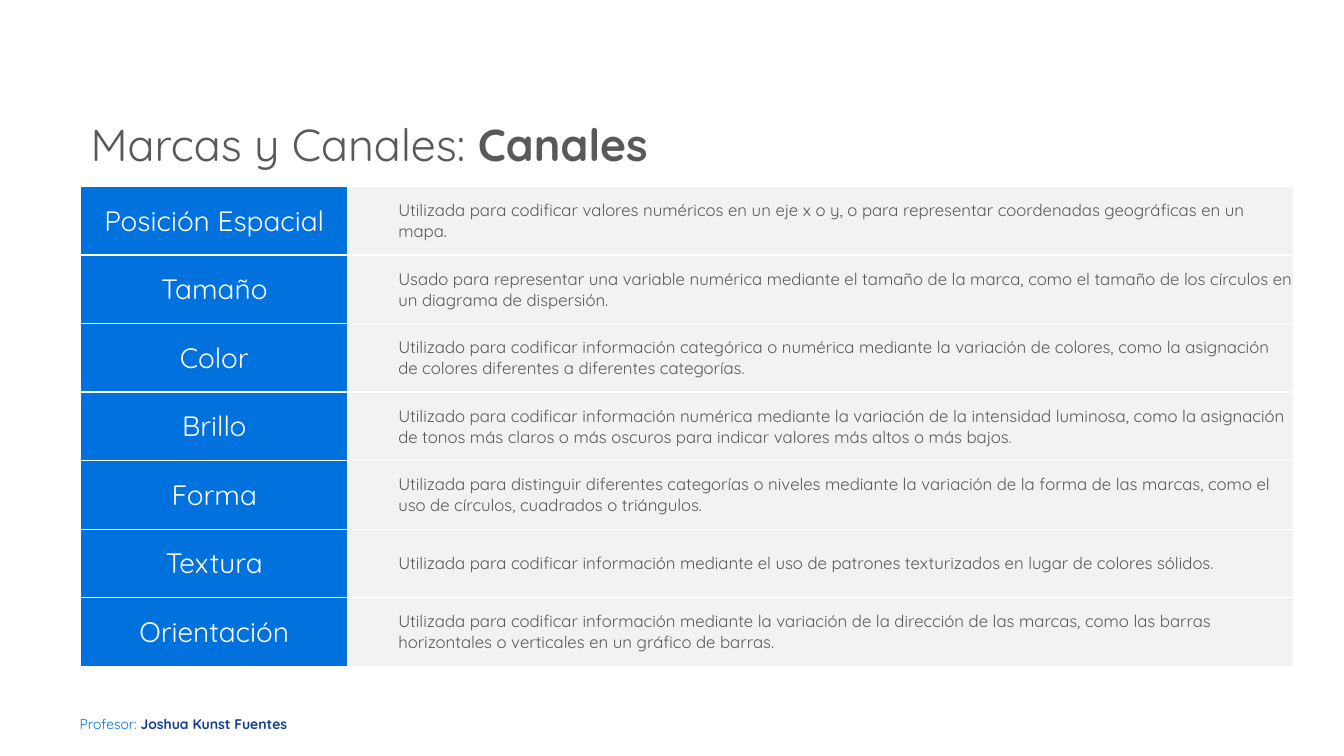
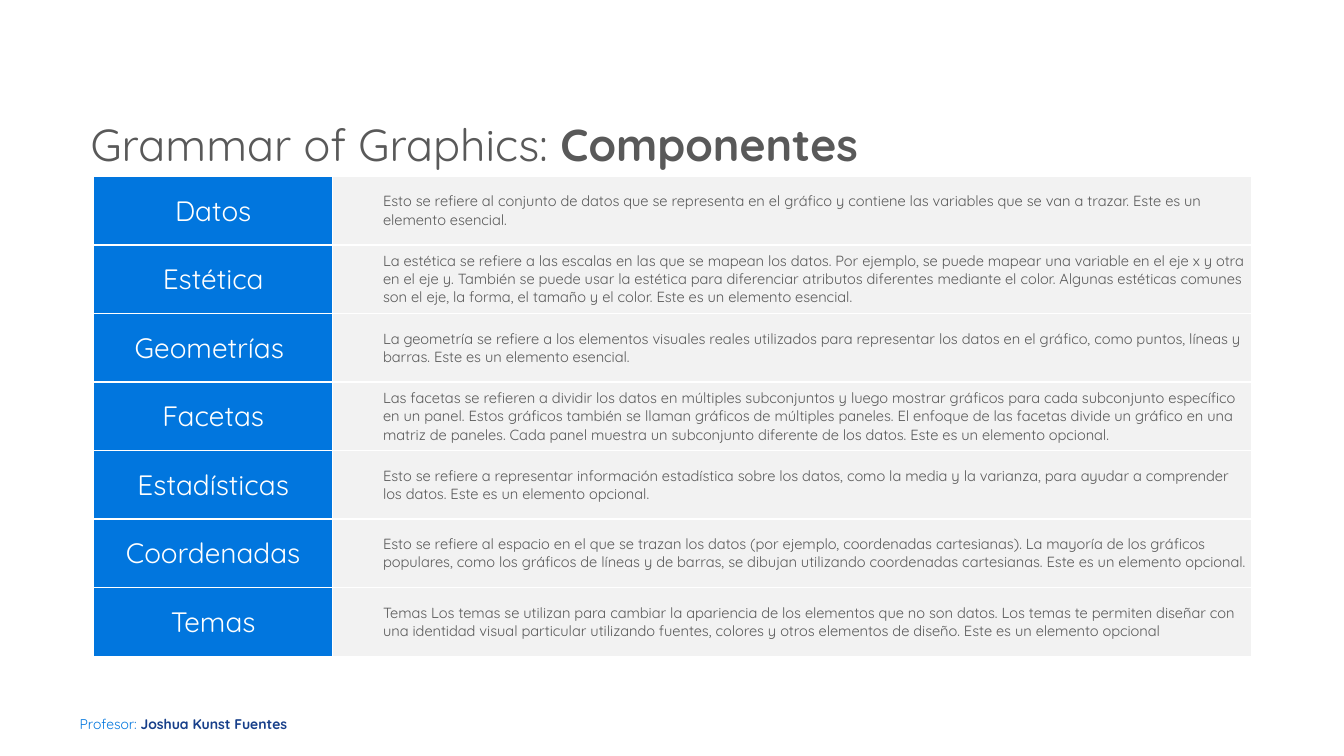
from dataclasses import dataclass

import lxml.etree
import pptx
import pptx.dml.color
import pptx.enum.text
import pptx.oxml.ns
import pptx.slide
import pptx.table
import pptx.util

Inches = pptx.util.Inches
Pt = pptx.util.Pt
qn = pptx.oxml.ns.qn

FONT = "Quicksand"
COLORS = {
    "white": "FFFFFF",
    "text": "595959",
    "panel": "F2F2F2",
    "channel": "0071DD",
    "blue": "0176DE",
    "navy": "173F8A",
}
ROW_HEIGHT = 0.68
MIDDLE = pptx.enum.text.MSO_ANCHOR.MIDDLE
NO_MARGINS = {
    "margin_left": 0,
    "margin_top": 0,
    "margin_right": 0,
    "margin_bottom": 0,
}
CELL_FORMAT = {**NO_MARGINS, "vertical_anchor": MIDDLE}
BOX_FORMAT = {
    "word_wrap": True,
    "auto_size": pptx.enum.text.MSO_AUTO_SIZE.SHAPE_TO_FIT_TEXT,
}
TITLE_FORMAT = {**BOX_FORMAT, "vertical_anchor": MIDDLE}
FOOTER_FORMAT = {**BOX_FORMAT, **NO_MARGINS}


@dataclass(frozen=True)
class Run:
    text: str
    size: float
    color: str
    bold: bool = False


@dataclass(frozen=True)
class Row:
    term: str
    description: str


@dataclass(frozen=True)
class TableSlide:
    topic: str
    emphasis: str
    title_width: float
    left: float
    top: float
    columns: tuple[float, float]
    term_fill: str
    body_size: float
    rows: tuple[Row, ...]


SLIDES = (
    TableSlide(
        "Marcas y Canales: ", "Canales", 7.54, 0.8, 1.85, (2.65, 9.38), "channel", 12,
        (
            Row("Posición Espacial",
                "Utilizada para codificar valores numéricos en un eje x o y, o para "
                "representar coordenadas geográficas en un mapa."),
            Row("Tamaño",
                "Usado para representar una variable numérica mediante el tamaño de la "
                "marca, como el tamaño de los círculos en un diagrama de dispersión."),
            Row("Color",
                "Utilizado para codificar información categórica o numérica mediante la "
                "variación de colores, como la asignación de colores diferentes a "
                "diferentes categorías."),
            Row("Brillo",
                "Utilizado para codificar información numérica mediante la variación de la "
                "intensidad luminosa, como la asignación de tonos más claros o más oscuros "
                "para indicar valores más altos o más bajos."),
            Row("Forma",
                "Utilizada para distinguir diferentes categorías o niveles mediante la "
                "variación de la forma de las marcas, como el uso de círculos, cuadrados o "
                "triángulos."),
            Row("Textura",
                "Utilizada para codificar información mediante el uso de patrones "
                "texturizados en lugar de colores sólidos."),
            Row("Orientación",
                "Utilizada para codificar información mediante la variación de la dirección "
                "de las marcas, como las barras horizontales o verticales en un gráfico de "
                "barras."),
        ),
    ),
    TableSlide(
        "Grammar of Graphics: ", "Componentes", 10.47, 0.93, 1.75, (2.37, 9.11), "blue", 10.5,
        (
            Row("Datos",
                "Esto se refiere al conjunto de datos que se representa en el gráfico y "
                "contiene las variables que se van a trazar. Este es un elemento esencial."),
            Row("Estética",
                "La estética se refiere a las escalas en las que se mapean los datos. Por "
                "ejemplo, se puede mapear una variable en el eje x y otra en el eje y. "
                "También se puede usar la estética para diferenciar atributos diferentes "
                "mediante el color. Algunas estéticas comunes son el eje, la forma, el "
                "tamaño y el color. Este es un elemento esencial."),
            Row("Geometrías ",
                "La geometría se refiere a los elementos visuales reales utilizados para "
                "representar los datos en el gráfico, como puntos, líneas y barras. Este es "
                "un elemento esencial."),
            Row("Facetas",
                "Las facetas se refieren a dividir los datos en múltiples subconjuntos y "
                "luego mostrar gráficos para cada subconjunto específico en un panel. Estos "
                "gráficos también se llaman gráficos de múltiples paneles. El enfoque de las "
                "facetas divide un gráfico en una matriz de paneles. Cada panel muestra un "
                "subconjunto diferente de los datos. Este es un elemento opcional."),
            Row("Estadísticas",
                "Esto se refiere a representar información estadística sobre los datos, como "
                "la media y la varianza, para ayudar a comprender los datos. Este es un "
                "elemento opcional."),
            Row("Coordenadas",
                "Esto se refiere al espacio en el que se trazan los datos (por ejemplo, "
                "coordenadas cartesianas). La mayoría de los gráficos populares, como los "
                "gráficos de líneas y de barras, se dibujan utilizando coordenadas "
                "cartesianas. Este es un elemento opcional."),
            Row("Temas",
                "Temas Los temas se utilizan para cambiar la apariencia de los elementos que "
                "no son datos. Los temas te permiten diseñar con una identidad visual "
                "particular utilizando fuentes, colores y otros elementos de diseño. Este es "
                "un elemento opcional"),
        ),
    ),
)


def rgb(color: str) -> pptx.dml.color.RGBColor:
    return pptx.dml.color.RGBColor.from_string(COLORS[color])


def apply_format(target: object, values: dict[str, object]) -> None:
    for name, value in values.items():
        setattr(target, name, value)


def add_run(p, run: Run) -> None:
    r = p.add_run()
    r.text = run.text
    apply_format(r.font, {"name": FONT, "size": Pt(run.size), "bold": run.bold})
    r.font.color.rgb = rgb(run.color)


def add_text(s: pptx.slide.Slide, box: tuple[float, float, float, float],
             runs: tuple[Run, ...], values: dict[str, object], line_spacing: float) -> None:
    tf = s.shapes.add_textbox(*(Inches(v) for v in box)).text_frame
    apply_format(tf, values)
    p = tf.paragraphs[0]
    p.line_spacing = line_spacing
    for run in runs:
        add_run(p, run)


def add_borders(cell: pptx.table._Cell) -> None:
    tc_pr = cell._tc.get_or_add_tcPr()
    for side in ("a:lnL", "a:lnR", "a:lnT", "a:lnB"):
        ln = lxml.etree.SubElement(tc_pr, qn(side), w=str(Pt(1)))
        fill = lxml.etree.SubElement(ln, qn("a:solidFill"))
        lxml.etree.SubElement(fill, qn("a:srgbClr"), val=COLORS["white"])


def fill_cell(cell: pptx.table._Cell, fill: str, run: Run):
    apply_format(cell, CELL_FORMAT)
    add_borders(cell)
    cell.fill.solid()
    cell.fill.fore_color.rgb = rgb(fill)
    p = cell.text_frame.paragraphs[0]
    add_run(p, run)
    return p


def add_definitions(s: pptx.slide.Slide, spec_slide: TableSlide) -> None:
    count = len(spec_slide.rows)
    box = (spec_slide.left, spec_slide.top, sum(spec_slide.columns), count * ROW_HEIGHT)
    table = s.shapes.add_table(count, 2, *(Inches(v) for v in box)).table
    apply_format(table, {"first_row": False, "horz_banding": False})
    for column, width in zip(table.columns, spec_slide.columns):
        column.width = Inches(width)
    for i, row in enumerate(spec_slide.rows):
        p = fill_cell(table.cell(i, 0), spec_slide.term_fill, Run(row.term, 20, "white"))
        p.alignment = pptx.enum.text.PP_ALIGN.CENTER
        p = fill_cell(table.cell(i, 1), "panel",
                      Run(row.description, spec_slide.body_size, "text"))
        p.level = 1
        p_pr = p._p.get_or_add_pPr()
        p_pr.set("marL", str(Inches(0.5)))
        p_pr.set("indent", "0")


def add_slide(prs, content: TableSlide) -> None:
    s = prs.slides.add_slide(prs.slide_layouts[6])
    add_text(s, (0.79, 6.96, 2.19, 0.26),
             (Run("Profesor: ", 10, "blue"), Run("Joshua Kunst Fuentes", 10, "navy", True)),
             FOOTER_FORMAT, Pt(22))
    add_text(s, (0.8, 0.65, content.title_width, 1.01),
             (Run(content.topic, 32, "text"), Run(content.emphasis, 32, "text", True)),
             TITLE_FORMAT, 2.0)
    add_definitions(s, content)


def main() -> None:
    prs = pptx.Presentation()
    apply_format(prs, {"slide_width": Inches(13.33), "slide_height": Inches(7.5)})
    for content in SLIDES:
        add_slide(prs, content)
    prs.save("out.pptx")


if __name__ == "__main__":
    main()
